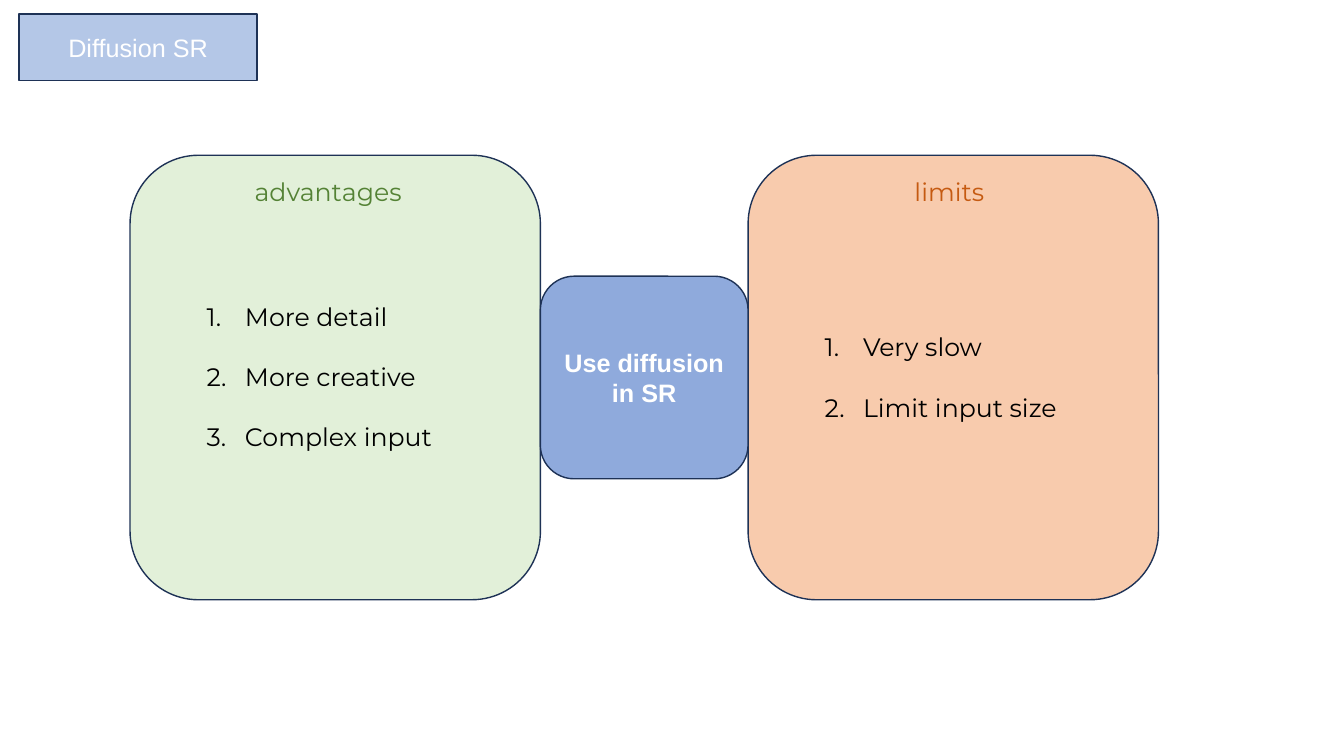
from dataclasses import dataclass

from lxml import etree
from pptx import Presentation
from pptx import util as u
from pptx.dml.color import RGBColor
from pptx.enum import shapes, text
from pptx.oxml.ns import qn


@dataclass(frozen=True)
class Theme:
    tag: str = "B4C7E7"
    hub: str = "8FAADC"
    outline: str = "1E3256"
    light: str = "FFFFFF"
    dark: str = "000000"
    label_font: str = "Arial"
    text_font: str = "Montserrat"
    size: float = 18
    item_gap: float = 21.4
    line_width: float = 1


@dataclass(frozen=True)
class Panel:
    left: float
    fill: str
    heading: str
    heading_color: str
    heading_width: float
    items: tuple[str, ...]
    heading_slot: int
    list_slot: int


THEME = Theme()
PANEL_TOP, PANEL_WIDTH, PANEL_HEIGHT = 1.54, 4.07, 4.41
HUB_WIDTH, HUB_HEIGHT = 2.06, 2.01
HEADING_TOP, LINE_HEIGHT = 1.7, 0.4
LIST_INSET, LIST_WIDTH, ITEM_PITCH, INDENT = 0.66, 2.76, 0.61, 0.38

LEFT_PANEL = 1.29
HUB_LEFT = LEFT_PANEL + PANEL_WIDTH
PANEL_MIDDLE = PANEL_TOP + PANEL_HEIGHT / 2
PANELS = (
    Panel(LEFT_PANEL, "E2F0D9", "advantages", "548235", 1.8,
          ("More detail", "More creative", "Complex input"), 1, 2),
    Panel(HUB_LEFT + HUB_WIDTH, "F8CBAD", "limits", "C55A11", 0.97,
          ("Very slow", "Limit input size"), 3, 4),
)


def place(shape, left: float, top: float, width: float, height: float) -> None:
    shape.left, shape.top = u.Inches(left), u.Inches(top)
    shape.width, shape.height = u.Inches(width), u.Inches(height)


def paint(shape, fill: str) -> None:
    shape.fill.solid()
    shape.fill.fore_color.rgb = RGBColor.from_string(fill)
    shape.line.color.rgb = RGBColor.from_string(THEME.outline)
    shape.line.width = u.Pt(THEME.line_width)


def write(shape, words: str, font: str, color: str, anchor, align,
          bold: bool = False, wrap: bool = True) -> None:
    frame = shape.text_frame
    frame.text = words
    frame.word_wrap = wrap
    frame.auto_size = text.MSO_AUTO_SIZE.NONE
    frame.vertical_anchor = anchor
    for para in frame.paragraphs:
        para.alignment = align
        para.space_before = u.Pt(0)
        for span in para.runs:
            span.font.name = font
            span.font.size = u.Pt(THEME.size)
            span.font.bold = bold
            span.font.color.rgb = RGBColor.from_string(color)


def write_label(shape, words: str, bold: bool = False) -> None:
    write(shape, words, THEME.label_font, THEME.light,
          text.MSO_ANCHOR.MIDDLE, text.PP_ALIGN.CENTER, bold)


def number_items(shape) -> None:
    paras = shape.text_frame.paragraphs
    for para in paras:
        para.space_after = u.Pt(0 if para is paras[-1] else THEME.item_gap)
        properties = para._p.get_or_add_pPr()
        properties.set("marL", str(u.Inches(INDENT)))
        properties.set("indent", str(-u.Inches(INDENT)))
        etree.SubElement(properties, qn("a:buFontTx"))
        etree.SubElement(properties, qn("a:buAutoNum"), type="arabicPeriod")


def add_round_box(page, left: float, top: float, width: float, height: float, fill: str):
    box = page.shapes.add_shape(
        shapes.MSO_SHAPE.ROUNDED_RECTANGLE,
        u.Inches(left), u.Inches(top), u.Inches(width), u.Inches(height))
    box.shadow.inherit = False
    paint(box, fill)
    return box


def add_title(page) -> None:
    title = page.shapes.title
    place(title, 0.19, 0.14, 2.36, 0.66)
    # Cut two opposite corners of the title box
    outline = etree.SubElement(title.element.spPr, qn("a:prstGeom"), prst="snip2DiagRect")
    etree.SubElement(outline, qn("a:avLst"))
    paint(title, THEME.tag)
    write_label(title, "Diffusion SR")


def add_panel(page, panel: Panel) -> None:
    # Panel goes behind its placeholders
    box = add_round_box(page, panel.left, PANEL_TOP, PANEL_WIDTH, PANEL_HEIGHT, panel.fill)
    page.shapes.element.insert(2, box.element)

    slots = {slot.placeholder_format.idx: slot for slot in page.placeholders}
    heading = slots[panel.heading_slot]
    place(heading, panel.left + (PANEL_WIDTH - panel.heading_width) / 2,
          HEADING_TOP, panel.heading_width, LINE_HEIGHT)
    write(heading, panel.heading, THEME.text_font, panel.heading_color,
          text.MSO_ANCHOR.TOP, text.PP_ALIGN.LEFT, wrap=False)

    items = slots[panel.list_slot]
    height = LINE_HEIGHT + ITEM_PITCH * (len(panel.items) - 1)
    place(items, panel.left + LIST_INSET, PANEL_MIDDLE - height / 2, LIST_WIDTH, height)
    write(items, "\n".join(panel.items), THEME.text_font, THEME.dark,
          text.MSO_ANCHOR.TOP, text.PP_ALIGN.LEFT)
    number_items(items)


def main() -> None:
    deck = Presentation()
    deck.slide_width, deck.slide_height = u.Inches(13.33), u.Inches(7.5)
    page = deck.slides.add_slide(deck.slide_layouts.get_by_name("Comparison"))

    # Title tag
    add_title(page)

    # Two sides of the comparison
    for panel in PANELS:
        add_panel(page, panel)

    # Link between the panels
    hub = add_round_box(page, HUB_LEFT, PANEL_MIDDLE - HUB_HEIGHT / 2,
                        HUB_WIDTH, HUB_HEIGHT, THEME.hub)
    write_label(hub, "Use diffusion in SR", bold=True)

    deck.save("out.pptx")


if __name__ == "__main__":
    main()
